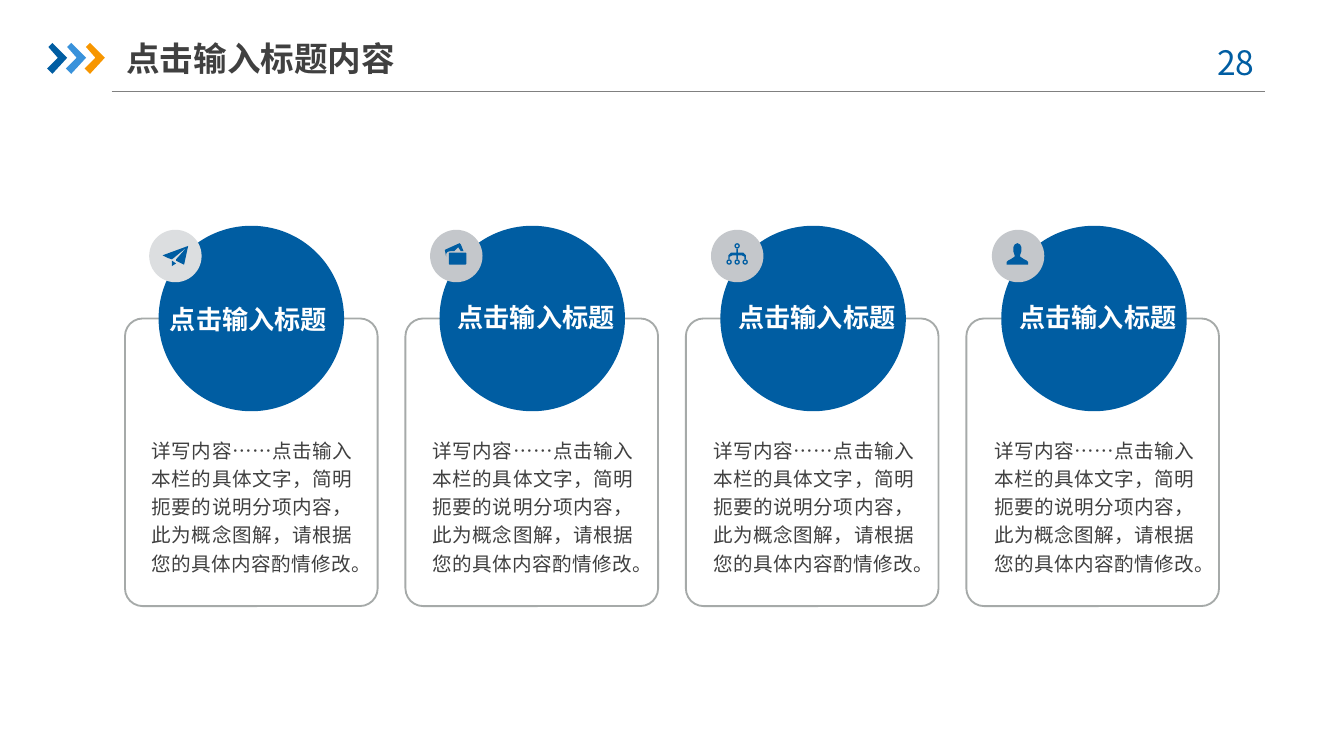
from dataclasses import dataclass

from lxml import etree
from pptx import Presentation
from pptx import util as u
from pptx.dml.color import RGBColor
from pptx.enum import shapes, text
from pptx.oxml import ns


@dataclass
class Theme:
    font: str = "Noto Sans CJK SC"
    blue: str = "005DA2"
    sky: str = "3992DB"
    orange: str = "F79600"
    ink: str = "404040"
    white: str = "FFFFFF"
    rule: str = "808080"
    border: str = "A6AAA9"
    pale_badge: str = "DCDEE0"
    badge: str = "C4C7CB"
    title_size: float = 18
    heading_size: float = 14
    body_size: float = 10.5


theme = Theme()
presentation = Presentation()
presentation.slide_width = u.Inches(10)
presentation.slide_height = u.Inches(10 * 9 / 16)
slide = presentation.slides.add_slide(presentation.slide_layouts[5])


def paint(shape, color):
    shape.shadow.inherit = False
    shape.fill.solid()
    shape.fill.fore_color.rgb = RGBColor.from_string(color)
    shape.line.fill.background()


def write(shape, words, size, color, align, bold=False, spacing=1.0,
          anchor=text.MSO_ANCHOR.MIDDLE, side=0, edge=0):
    frame = shape.text_frame
    frame.word_wrap = True
    frame.auto_size = text.MSO_AUTO_SIZE.NONE
    frame.vertical_anchor = anchor
    frame.margin_left = frame.margin_right = u.Inches(side)
    frame.margin_top = frame.margin_bottom = u.Inches(edge)
    frame.text = words
    paragraph = frame.paragraphs[0]
    paragraph.alignment = align
    paragraph.line_spacing = spacing
    font = paragraph.runs[0].font
    font.size, font.bold, font.name = u.Pt(size), bold, theme.font
    font.color.rgb = RGBColor.from_string(color)
    east_asian = etree.SubElement(paragraph.runs[0]._r.rPr, ns.qn("a:ea"))
    east_asian.set("typeface", theme.font)


# Header: title, page number and rule
title = slide.shapes.title
title.left, title.top = u.Inches(0.94), u.Inches(0.22)
title.width, title.height = u.Inches(2.33), u.Inches(0.42)
write(title, "点击输入标题内容", theme.title_size, theme.ink,
      text.PP_ALIGN.LEFT, bold=True, edge=0.05)

page_number = slide.shapes.add_textbox(
    u.Inches(8.86), u.Inches(0.26), u.Inches(0.73), u.Inches(0.4))
write(page_number, "28 ", theme.title_size, theme.blue, text.PP_ALIGN.CENTER,
      anchor=text.MSO_ANCHOR.TOP, side=0.1, edge=0.05)

header_rule = slide.shapes.add_connector(
    shapes.MSO_CONNECTOR.STRAIGHT,
    u.Inches(0.83), u.Inches(0.68), u.Inches(9.41), u.Inches(0.68))
header_rule.line.color.rgb = RGBColor.from_string(theme.rule)
header_rule.line.width = u.Pt(0.75)
etree.SubElement(header_rule._element.spPr, ns.qn("a:effectLst"))

# Outlines: left, top, colour and contours in hundredths of an inch
chevron = [[(1, 3), (4, 0), (15, 11), (4, 23), (0, 19), (8, 11)]]
plane = [
    [(29, 12), (10, 19), (14, 21), (17, 22), (28, 13), (20, 22), (20, 23), (26, 26)],
    [(17, 27), (20, 25), (17, 23)],
]
photos = [
    [(25, 16), (23, 11), (22, 10), (11, 15), (12, 20), (12, 18), (13, 16.5),
     (15, 16), (18, 16), (21, 13), (23, 16)],
    [(14, 17.5), (14.5, 17), (26.5, 17), (27, 17.5), (27, 25.5), (26.5, 26),
     (14.5, 26), (14, 25.5)],
]
tree = [[(19, 14), (20, 14), (20, 17), (24, 17), (26, 19), (26, 22), (25, 22),
         (25, 20), (23, 19), (20, 19), (20, 22), (19, 22), (19, 19), (16, 19),
         (14, 20), (14, 22), (13, 22), (13, 19), (15, 17), (19, 17)]]
person = [[(19, 10), (21, 11), (22, 13), (22, 16), (21, 19), (21, 20), (24, 22),
           (26, 23), (27, 24), (27, 26), (11, 26), (11, 24), (12, 23), (14, 22),
           (17, 20), (17, 19), (16, 16), (16, 13), (17, 11)]]
tree_nodes = [(19.5, 12), (13.5, 24), (19.5, 24), (25.5, 24)]

outlines = [(0.35 + 0.14 * index, 0.32, color, chevron)
            for index, color in enumerate((theme.blue, theme.sky, theme.orange))]

# Cards: border, circle, badge, heading and body
first_left, last_border_left, pitch, badge_top = 0.93, 7.19, 2.09, 1.71
body_words = ("详写内容……点击输入本栏的具体文字，简明扼要的说明分项内容，"
              "此为概念图解，请根据您的具体内容酌情修改。")
cards = [  # icon, badge colour, heading offset, heading line spacing
    (plane, theme.pale_badge, 0.27, 1.0),
    (photos, theme.badge, 0.32, 0.9),
    (tree, theme.badge, 0.32, 0.9),
    (person, theme.badge, 0.32, 0.9),
]
border_pitch = (last_border_left - first_left) / (len(cards) - 1)
for index, (icon, badge_color, heading_offset, spacing) in enumerate(cards):
    left = first_left + pitch * index
    badge_left = left + 0.18

    border = slide.shapes.add_shape(
        shapes.MSO_SHAPE.ROUNDED_RECTANGLE,
        u.Inches(first_left + border_pitch * index), u.Inches(2.37),
        u.Inches(1.88), u.Inches(2.14))
    border.adjustments[0] = 0.07
    border.shadow.inherit = False
    border.fill.background()
    border.line.color.rgb = RGBColor.from_string(theme.border)
    border.line.width = u.Pt(1)

    for x, y, size, color in ((left + 0.25, 1.68, 1.38, theme.blue),
                              (badge_left, badge_top, 0.39, badge_color)):
        disc = slide.shapes.add_shape(
            shapes.MSO_SHAPE.OVAL,
            u.Inches(x), u.Inches(y), u.Inches(size), u.Inches(size))
        paint(disc, color)
    outlines.append((badge_left, badge_top, theme.blue, icon))

    heading = slide.shapes.add_textbox(
        u.Inches(left + heading_offset), u.Inches(2.14), u.Inches(1.3), u.Inches(0.47))
    write(heading, "点击输入标题", theme.heading_size, theme.white,
          text.PP_ALIGN.CENTER, bold=True, spacing=spacing)

    body = slide.shapes.add_textbox(
        u.Inches(left + 0.2), u.Inches(3.29), u.Inches(1.49), u.Inches(0.93))
    write(body, body_words, theme.body_size, theme.ink,
          text.PP_ALIGN.JUSTIFY, spacing=1.2)

# Chevrons and icons
for left, top, color, contours in outlines:
    builder = None
    for contour in contours:
        points = [(u.Inches(left + x / 100), u.Inches(top + y / 100))
                  for x, y in contour]
        if builder is None:
            builder = slide.shapes.build_freeform(*points[0])
        else:
            builder.move_to(*points[0])
        builder.add_line_segments(points[1:], close=True)
    paint(builder.convert_to_shape(), color)

# Ring nodes of the tree icon
tree_left = first_left + pitch * 2 + 0.18
for x, y in tree_nodes:
    node = slide.shapes.add_shape(
        shapes.MSO_SHAPE.DONUT,
        u.Inches(tree_left + x / 100 - 0.02), u.Inches(badge_top + y / 100 - 0.02),
        u.Inches(0.04), u.Inches(0.04))
    node.adjustments[0] = 0.25
    paint(node, theme.blue)

presentation.save("out.pptx")
